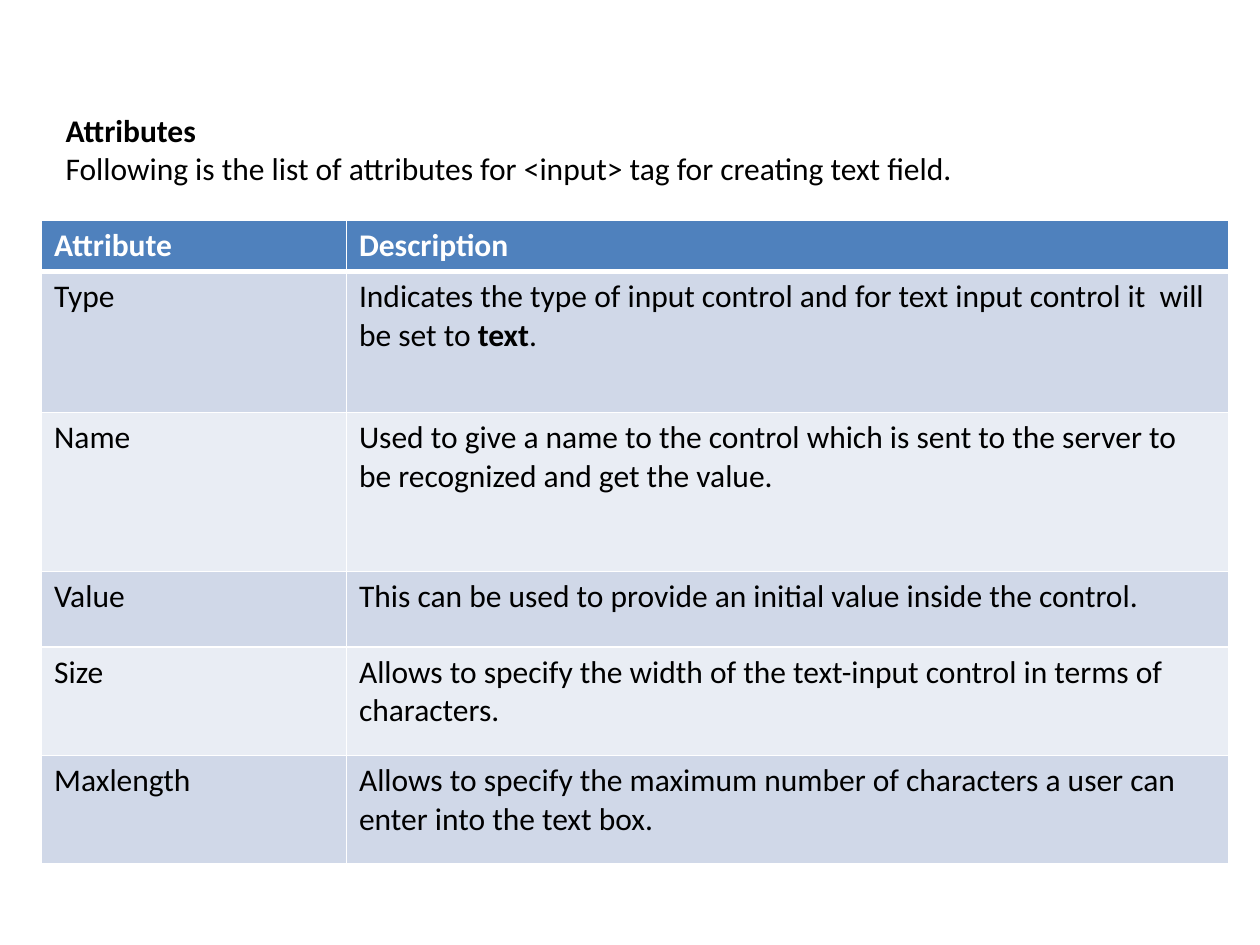
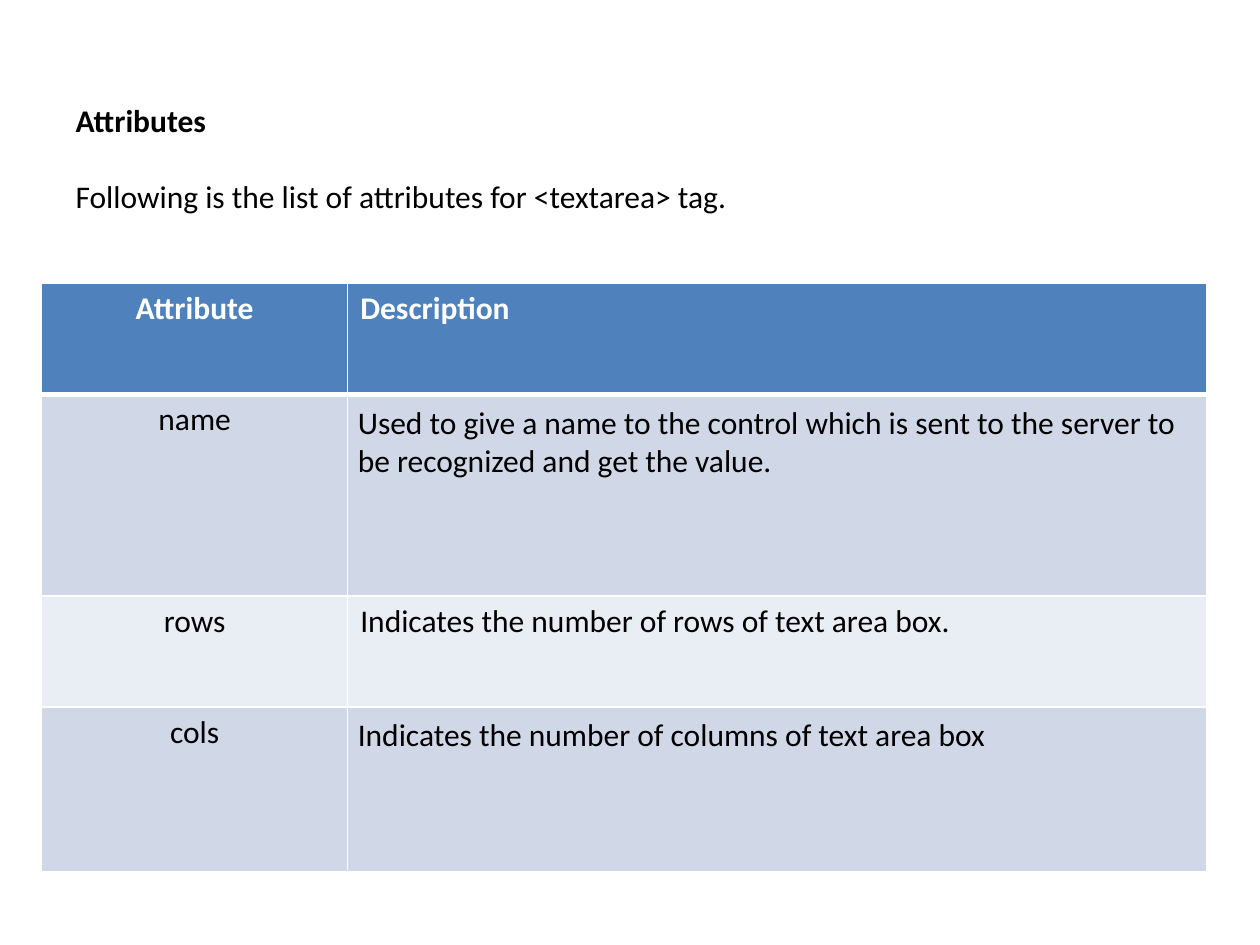
"""Build two slides that list the attributes of HTML text input tags."""
from lxml import etree
from pptx import Presentation
from pptx.dml.color import RGBColor
from pptx.enum.text import MSO_ANCHOR, MSO_AUTO_SIZE, PP_ALIGN
from pptx.oxml.ns import qn
from pptx.util import Inches, Pt

TOP = MSO_ANCHOR.TOP
FIXED = MSO_AUTO_SIZE.NONE
LEFT, CENTER = PP_ALIGN.LEFT, PP_ALIGN.CENTER
BLACK = RGBColor(0, 0, 0)
WHITE = RGBColor(0xFF, 0xFF, 0xFF)
BLUE = RGBColor(0x4F, 0x81, 0xBD)
BANDS = RGBColor(0xE9, 0xED, 0xF4), RGBColor(0xD0, 0xD8, 0xE8)
FONT, SIZE = "Calibri", Pt(18)
HEAD = "Attribute", "Description"
NAME_USE = ("Used to give a name to the control which is sent to the server "
            "to be recognized and get the value.")

SLIDES = [
    {
        "intro": "Following is the list of attributes for <input> tag for creating text field.",
        "box": (0.42, 0.83, 8.5, 0.71),
        "gap": 0,
        "at": (0.33, 1.75),
        "cols": (2.42, 7),
        "heights": (0.39, 1.12, 1.26, 0.6, 0.86, 0.86),
        "align": LEFT,
        "padded": (),
        "rows": [
            HEAD,
            ("Type", ("Indicates the type of input control and for text input control it  "
                      "will be set to\u00a0", "text", ".")),
            ("Name", NAME_USE),
            ("Value", "This can be used to provide an initial value inside the control."),
            ("Size", "Allows to specify the width of the text-input control in terms of characters."),
            ("Maxlength", "Allows to specify the maximum number of characters a user can "
                          "enter into the text box."),
        ],
    },
    {
        "intro": "Following is the list of attributes for <textarea> tag.",
        "box": (0.5, 0.75, 9.08, 1.41),
        "gap": 22,
        "at": (0.33, 2.25),
        "cols": (2.43, 6.82),
        "heights": (0.88, 1.6, 0.88, 1.31),
        "align": CENTER,
        "padded": (1, 3),
        "rows": [
            HEAD,
            ("name", NAME_USE),
            ("rows", "Indicates the number of rows of text area box."),
            ("cols", "Indicates the number of columns of text area box"),
        ],
    },
]


def style(run, color, bold):
    font = run.font
    font.name, font.size, font.bold = FONT, SIZE, bold
    font.color.rgb = color


def add_title(slide, data):
    title = slide.shapes.title
    title.left, title.top, title.width, title.height = map(Inches, data["box"])
    frame = title.text_frame
    frame.text = "Attributes\n" + data["intro"]
    frame.word_wrap, frame.auto_size = True, FIXED
    frame.vertical_anchor = TOP
    for i, para in enumerate(frame.paragraphs):
        para.alignment = LEFT
        para.space_before = Pt(data["gap"] * i)
        style(para.runs[0], BLACK, i == 0)


def add_edges(cell, head):
    props = cell._tc.get_or_add_tcPr()
    for i, side in enumerate("LRTB"):
        width = Pt(3 if head and side == "B" else 1)
        line = etree.Element(qn("a:ln" + side), w=str(width))
        fill = etree.SubElement(line, qn("a:solidFill"))
        etree.SubElement(fill, qn("a:srgbClr"), val=str(WHITE))
        props.insert(i, line)


def fill_cell(cell, text, row, align):
    head = row == 0
    cell.fill.solid()
    cell.fill.fore_color.rgb = BLUE if head else BANDS[row % 2]
    add_edges(cell, head)
    para = cell.text_frame.paragraphs[0]
    para.alignment = align
    parts = (text,) if isinstance(text, str) else text
    for i, part in enumerate(parts):
        run = para.add_run()
        run.text = part
        style(run, WHITE if head else BLACK, head or i == 1)


def add_grid(slide, data):
    rows, cols, heights = data["rows"], data["cols"], data["heights"]
    left, top = data["at"]
    size = left, top, sum(cols), sum(heights)
    table = slide.shapes.add_table(len(rows), len(cols), *map(Inches, size)).table
    for col, width in zip(table.columns, cols):
        col.width = Inches(width)
    for r, (texts, height) in enumerate(zip(rows, heights)):
        table.rows[r].height = Inches(height)
        for c, text in enumerate(texts):
            fill_cell(table.cell(r, c), text, r, LEFT if c else data["align"])
    for r in data["padded"]:
        cell = table.cell(r, 1)
        cell.margin_left = cell.margin_right = Inches(0.08)
        cell.margin_top = cell.margin_bottom = Inches(0.08)


deck = Presentation()
deck.slide_width, deck.slide_height = Inches(10), Inches(7.5)
layout = deck.slide_layouts.get_by_name("Title Only")
for data in SLIDES:
    slide = deck.slides.add_slide(layout)
    add_title(slide, data)
    add_grid(slide, data)
deck.save("out.pptx")
